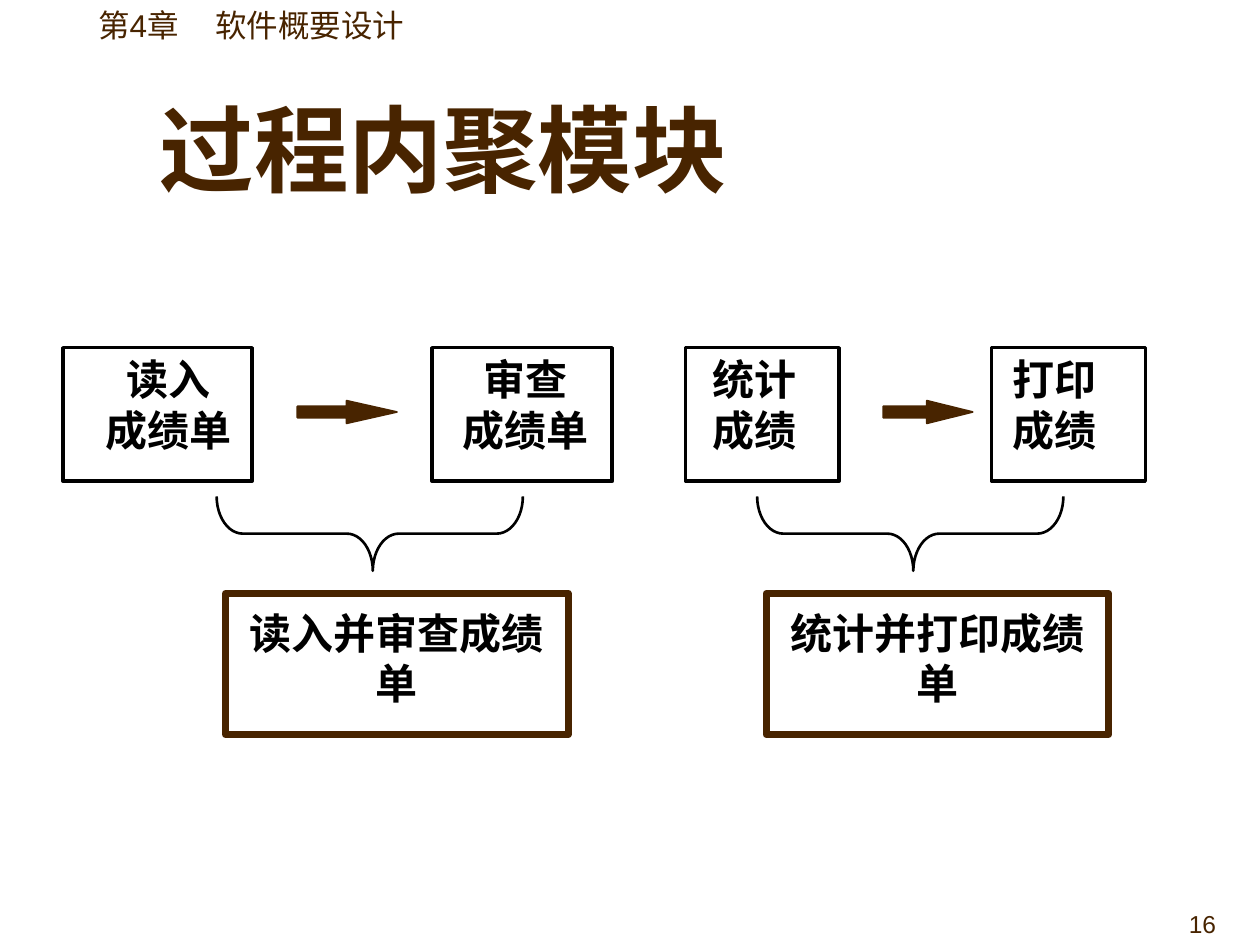
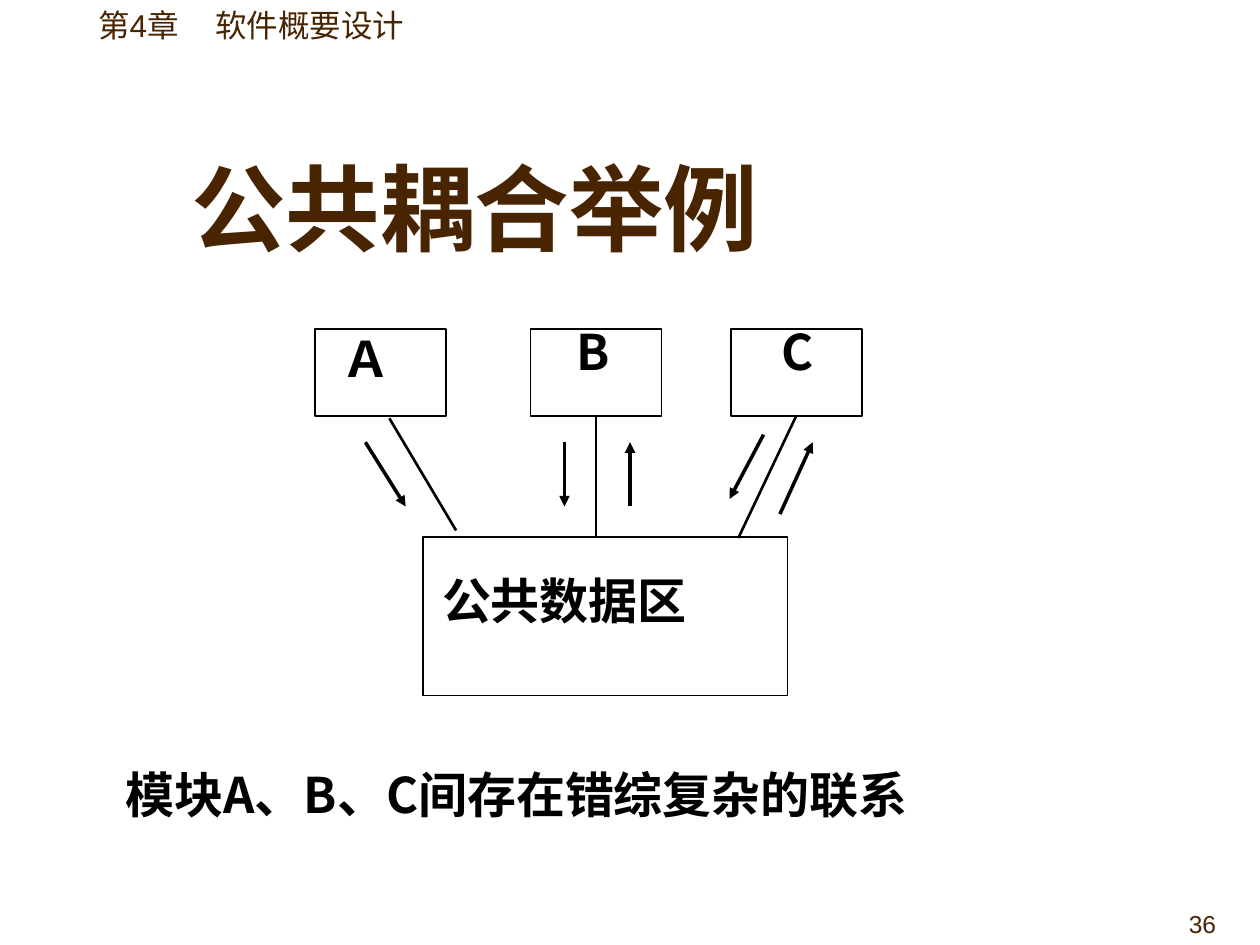
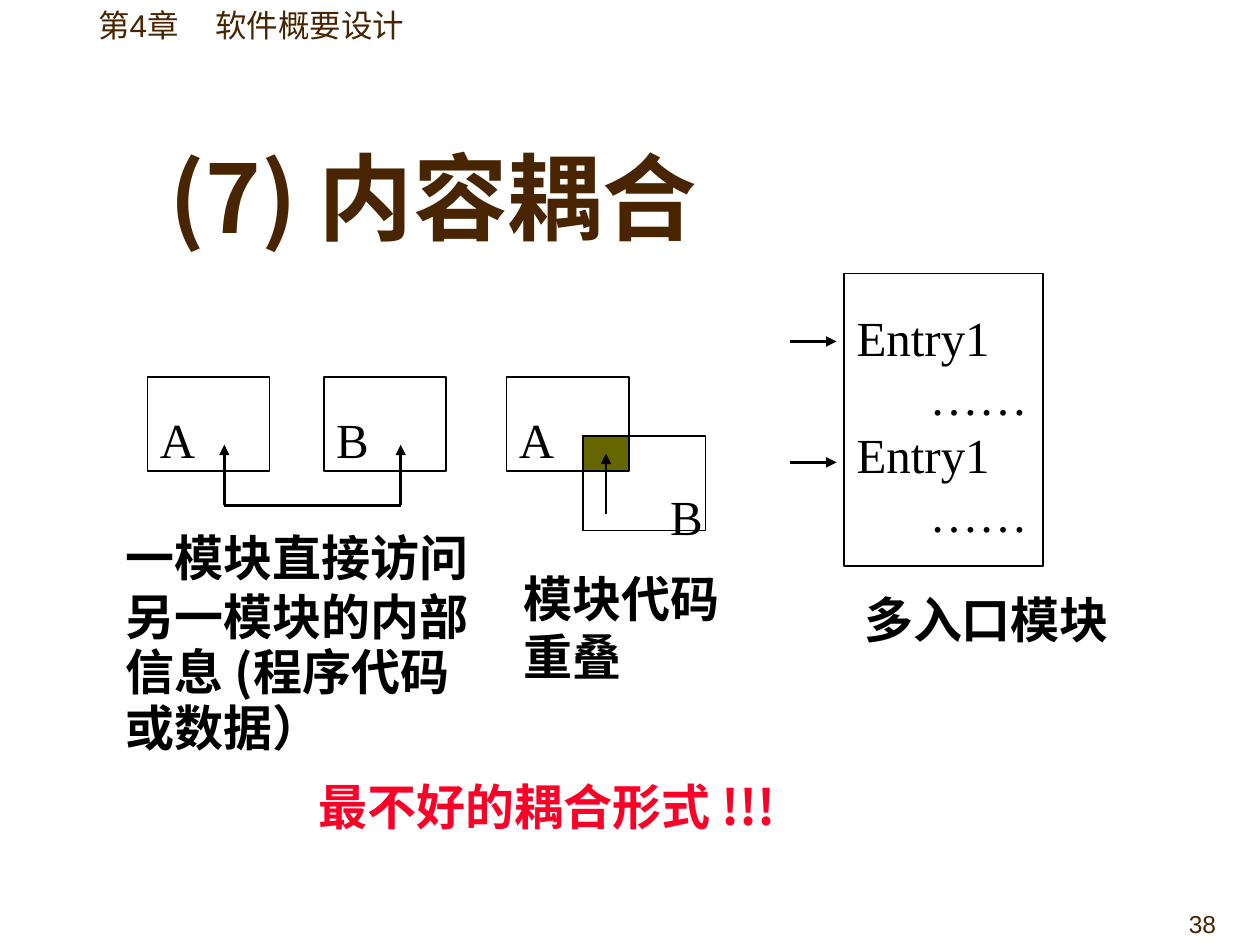
from lxml.etree import SubElement
from pptx import Presentation
from pptx.dml.color import RGBColor
from pptx.enum.shapes import MSO_CONNECTOR, MSO_SHAPE
from pptx.enum.text import MSO_ANCHOR, PP_ALIGN
from pptx.oxml.ns import qn
from pptx.util import Inches, Pt

BROWN = RGBColor(0x48, 0x24, 0x00)
BLACK = RGBColor(0x00, 0x00, 0x00)
WHITE = RGBColor(0xFF, 0xFF, 0xFF)
RED = RGBColor(0xFC, 0x01, 0x28)
OLIVE = RGBColor(0x66, 0x66, 0x00)
SANS = "Noto Sans CJK SC"
SERIF = "Times New Roman"
NUMBER_FONT = "Arial"


def add_text(page, left, top, width, height, lines, size=28, color=BLACK,
             bold=True, latin=SANS, asian=SANS, align=PP_ALIGN.LEFT,
             anchor=MSO_ANCHOR.TOP, wrap=False):
    box = page.shapes.add_textbox(Inches(left), Inches(top), Inches(width), Inches(height))
    frame = box.text_frame
    frame.word_wrap = wrap
    frame.vertical_anchor = anchor
    frame.text = "\n".join(lines)
    for para in frame.paragraphs:
        para.alignment = align
        font = para.font
        font.size = Pt(size)
        font.bold = bold
        font.color.rgb = color
        font.name = latin
        east_asian = SubElement(para._p.pPr.find(qn("a:defRPr")), qn("a:ea"))
        east_asian.set("typeface", asian)
    return frame.paragraphs


def add_serif(page, left, top, width, height, lines):
    return add_text(page, left, top, width, height, lines,
                    bold=False, latin=SERIF, asian=SERIF)


def add_figure(page, kind, left, top, width, height, fill=None, line=BLACK, weight=1):
    shape = page.shapes.add_shape(kind, Inches(left), Inches(top), Inches(width), Inches(height))
    shape.shadow.inherit = False
    if fill is None:
        shape.fill.background()
    else:
        shape.fill.solid()
        shape.fill.fore_color.rgb = fill
    shape.line.color.rgb = line
    shape.line.width = Pt(weight)
    return shape


def add_box(page, left, top, width, height, **style):
    return add_figure(page, MSO_SHAPE.RECTANGLE, left, top, width, height, **style)


def add_line(page, start, end, weight=1.5, arrow=False):
    line = page.shapes.add_connector(
        MSO_CONNECTOR.STRAIGHT, *(Inches(value) for value in (*start, *end)))
    line.line.color.rgb = BLACK
    line.line.width = Pt(weight)
    properties = line._element.spPr
    if arrow:
        SubElement(line.line._get_or_add_ln(), qn("a:tailEnd")).set("type", "triangle")
    SubElement(properties, qn("a:effectLst"))
    return line


def add_page(deck, number, title, title_box, anchor=MSO_ANCHOR.MIDDLE):
    page = deck.slides.add_slide(deck.slide_layouts[6])
    header = page.shapes.add_textbox(Inches(0.68), Inches(0), Inches(2.64), Inches(0.4))
    frame = header.text_frame
    frame.word_wrap = False
    frame.vertical_anchor = MSO_ANCHOR.BOTTOM
    para = frame.paragraphs[0]
    para.text = "第4章\t软件概要设计"
    stops = SubElement(para._p.get_or_add_pPr(), qn("a:tabLst"))
    stop = SubElement(stops, qn("a:tab"))
    stop.set("pos", str(Inches(0.93)))
    stop.set("algn", "l")
    para.font.size = Pt(18)
    para.font.color.rgb = BROWN
    para.font.name = NUMBER_FONT
    SubElement(para._p.pPr.find(qn("a:defRPr")), qn("a:ea")).set("typeface", SANS)

    add_text(page, *title_box, [title], size=54, color=BROWN, anchor=anchor, wrap=True)
    add_text(page, 7.67, 7, 2.08, 0.5, [str(number)], size=14, color=BROWN, bold=False,
             latin=NUMBER_FONT, align=PP_ALIGN.RIGHT, anchor=MSO_ANCHOR.BOTTOM, wrap=True)
    return page


def add_merged_steps(page, left, top, steps, align, arrow, summary):
    for offset, width, text_offset, text_width, lines in steps:
        add_box(page, left + offset, top, width, 1.06, fill=WHITE, weight=2)
        add_text(page, left + offset + text_offset, top, text_width, 0.9, lines,
                 size=24, align=align)
    arrow_offset, arrow_width, head = arrow
    pointer = add_figure(page, MSO_SHAPE.RIGHT_ARROW, left + arrow_offset, top + 0.42,
                         arrow_width, 0.18, fill=BROWN, line=BROWN)
    pointer.adjustments[1] = head
    brace = add_figure(page, MSO_SHAPE.LEFT_BRACE, left + 0.85, top + 0.26, 0.59, 2.43,
                       weight=1.5)
    brace.adjustments[0] = 0.35
    brace.adjustments[1] = 0.51
    brace.rotation = 270
    add_box(page, left, top + 1.95, 2.72, 1.12, fill=WHITE, line=BROWN, weight=4)
    add_text(page, left, top + 2.01, 2.72, 0.9, [summary], size=24,
             align=PP_ALIGN.CENTER, wrap=True)


def build_procedural_cohesion(deck):
    page = add_page(deck, 16, "过程内聚模块", (1.17, 0.42, 8.5, 1.25), MSO_ANCHOR.BOTTOM)
    add_merged_steps(
        page, 1.79, 2.76,
        [(-1.29, 1.5, 0.24, 1.2, ["读入", "成绩单"]),
         (1.64, 1.43, 0.14, 1.2, ["审查", "成绩单"])],
        PP_ALIGN.CENTER, (0.57, 0.79, 2.22), "读入并审查成绩单")
    add_merged_steps(
        page, 6.08, 2.76,
        [(-0.64, 1.22, 0.12, 0.87, ["统计", "成绩"]),
         (1.79, 1.22, 0.07, 0.87, ["打印", "成绩"])],
        PP_ALIGN.LEFT, (0.93, 0.71, 2.02), "统计并打印成绩单")


def add_shared_data(page, left, top):
    def at(x, y):
        return left + x, top + y

    modules = []
    for offset, label, text_x, text_y, text_width in (
            (0, "Ａ", 0.11, -0.05, 0.59),
            (1.71, "B", 1.98, -0.11, 0.46),
            (3.3, "C", 3.6, -0.11, 0.45)):
        modules.append(add_box(page, *at(offset, 0), 1.04, 0.69, fill=WHITE))
        add_text(page, *at(text_x, text_y), text_width, 0.57, [label])
    add_box(page, *at(0.86, 1.65), 2.89, 1.26, fill=WHITE)
    add_text(page, *at(0.91, 1.87), 2.98, 0.57, ["公共数据区"], wrap=True)

    add_line(page, at(0.59, 0.71), at(1.12, 1.6))
    for module, start_x, end_x in ((modules[1], 2.23, 2.23), (modules[2], 3.82, 3.36)):
        link = add_line(page, at(start_x, 0.69), at(end_x, 1.66))
        link.begin_connect(module, 2)
    for start, end in (((0.4, 0.9), (0.72, 1.41)),
                       ((1.98, 0.9), (1.98, 1.41)),
                       ((2.5, 1.41), (2.5, 0.9)),
                       ((3.56, 0.84), (3.29, 1.35)),
                       ((3.69, 1.47), (3.95, 0.9))):
        add_line(page, at(*start), at(*end), weight=2, arrow=True)


def build_common_coupling(deck):
    page = add_page(deck, 36, "公共耦合举例", (1.42, 1.17, 5.42, 0.94))
    add_shared_data(page, 2.5, 2.61)
    add_text(page, 0.9, 6.02, 6.96, 0.57, ["模块A、B、C间存在错综复杂的联系"])


def add_module(page, left, top, label, text_x=0, text_y=0.21):
    add_box(page, left, top, 0.97, 0.75)
    add_serif(page, left + text_x, top + text_y, 0.47, 0.57, [label])


def add_direct_access(page, left, top):
    for offset, label in ((0, "A"), (1.4, "B")):
        add_module(page, left + offset, top, label)
        x = left + offset + 0.61
        add_line(page, (x, top + 1.02), (x, top + 0.54), arrow=True)
    add_line(page, (left + 0.61, top + 1.02), (left + 2.01, top + 1.02))
    lines = add_text(page, left - 0.27, top + 1.15, 3.17, 1.92,
                     ["一模块直接访问", "另一模块的内部", "信息 (程序代码", "或数据）"], wrap=True)
    for para in lines[2:]:
        para.line_spacing = 0.95


def add_overlap(page, left, top):
    add_module(page, left, top, "A")
    add_module(page, left + 0.61, top + 0.47, "B", 0.59, 0.35)
    add_box(page, left + 0.61, top + 0.47, 0.36, 0.28, fill=OLIVE)
    add_line(page, (left + 0.79, top + 1.09), (left + 0.79, top + 0.61), arrow=True)
    add_text(page, left + 0.04, top + 1.47, 2.07, 1.04, ["模块代码重叠"], wrap=True)


def add_entries(page, left, top):
    add_box(page, left, top, 1.58, 2.32)
    lines = add_serif(page, left, top + 0.22, 1.57, 1.97, ["Entry1", "……"] * 2)
    for para in lines[1::2]:
        para._p.pPr.set("marL", str(Inches(0.58)))
    for offset in (0.54, 1.5):
        add_line(page, (left - 0.43, top + offset), (left - 0.06, top + offset), arrow=True)
    add_text(page, left + 0.06, top + 2.46, 2.15, 0.57, ["多入口模块"], wrap=True)


def build_content_coupling(deck):
    page = add_page(deck, 38, "(7) 内容耦合", (1.25, 1.17, 6.17, 0.77))
    add_direct_access(page, 1.17, 2.99)
    add_overlap(page, 4.02, 2.99)
    add_entries(page, 6.7, 2.17)
    verdict = add_text(page, 2.43, 6.17, 3.92, 0.52, ["最不好的耦合形式 !!!"], color=RED)
    verdict[0].line_spacing = 0.9


def main():
    deck = Presentation()
    deck.slide_width = Inches(10)
    deck.slide_height = Inches(7.5)
    build_procedural_cohesion(deck)
    build_common_coupling(deck)
    build_content_coupling(deck)
    deck.save("out.pptx")


if __name__ == "__main__":
    main()
